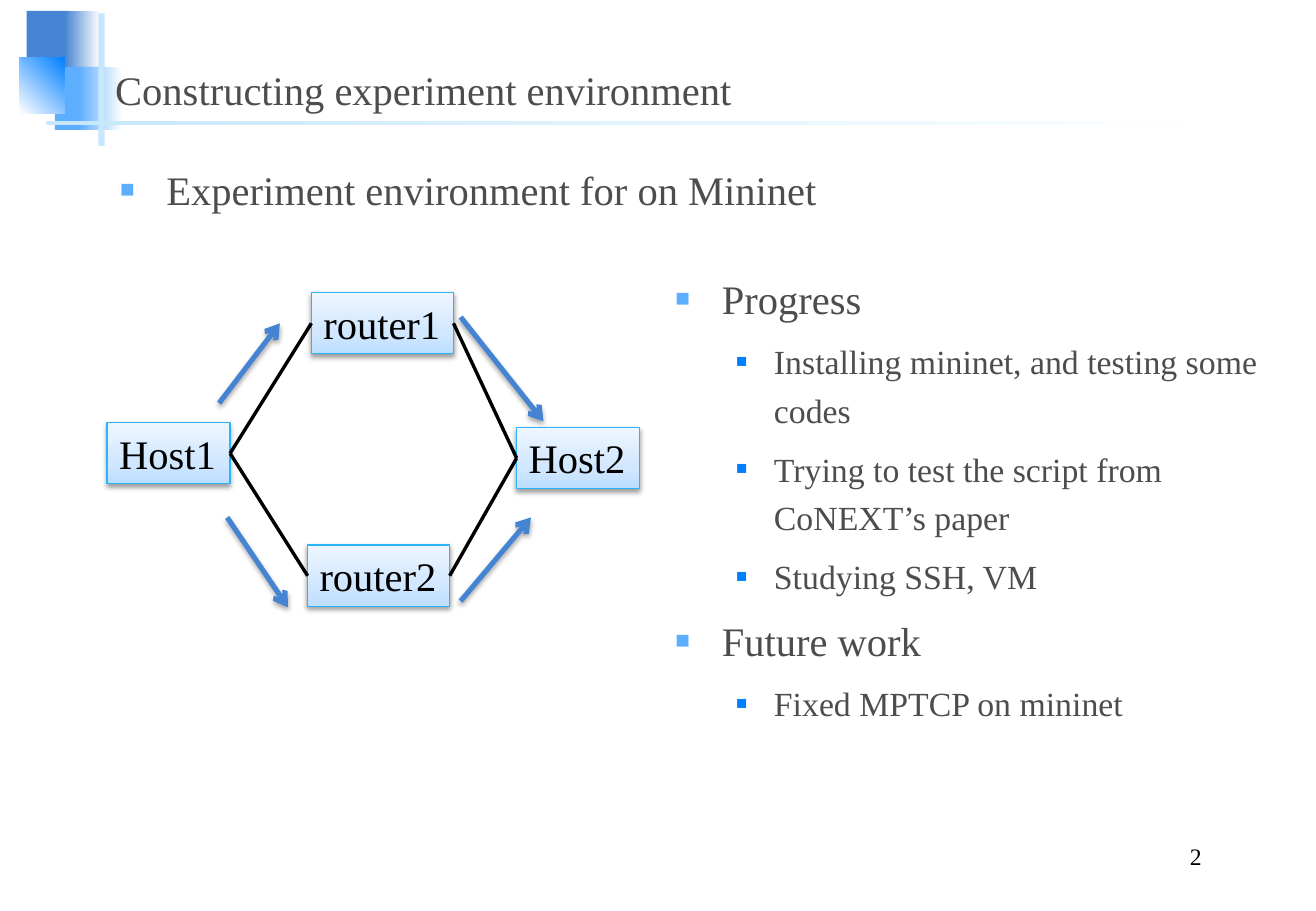
from collections import namedtuple
from dataclasses import dataclass

from lxml import etree
from pptx import Presentation
from pptx import util as u
from pptx.dml.color import RGBColor
from pptx.enum import shapes, text
from pptx.oxml import ns

Box = namedtuple("Box", "left top width height")
Level = namedtuple("Level", "size margin hanging bullet bullet_size")


@dataclass(frozen=True)
class Theme:
    font: str = "Times New Roman"
    ink: str = "4D4D4D"
    black: str = "000000"
    white: str = "FFFFFF"
    royal: str = "4584D3"
    sky: str = "5EAEFF"
    azure: str = "0080FF"
    pale: str = "C6E7FC"
    edge: str = "2BB4FC"
    node_stops: tuple = ((0, "BDDEFF"), (35, "D1E7FF"), (100, "EEF6FF"))
    heading: int = 24
    detail: int = 20
    number: int = 14


THEME = Theme()
LEVELS = (
    Level(THEME.heading, 0.97, 0.97, THEME.sky, 60),
    Level(THEME.detail, 2.06, 0.79, THEME.azure, 55),
)


def add_element(parent, tag, **attributes):
    return etree.SubElement(parent, ns.qn(tag), {k: str(v) for k, v in attributes.items()})


def place(box, left, top, width, height):
    return [u.Cm(v) for v in (box.left + left, box.top + top, width, height)]


def fill_gradient(shape, stops, clockwise):
    shape.fill.gradient()
    shape.fill.gradient_angle = -clockwise % 360
    stop_list = next(shape._element.spPr.iter(ns.qn("a:gsLst")))
    for stop in list(stop_list):
        stop_list.remove(stop)
    for position, color in stops:
        stop = add_element(stop_list, "a:gs", pos=position * 1000)
        add_element(stop, "a:srgbClr", val=color)


def add_shadow(effects, opacity, distance):
    shadow = add_element(effects, "a:outerShdw", blurRad=u.Pt(3.1), dist=u.Pt(distance),
                         dir=90 * 60000, rotWithShape=0)
    color = add_element(shadow, "a:srgbClr", val=THEME.black)
    add_element(color, "a:alpha", val=opacity * 1000)


def add_rectangle(page, position):
    shape = page.shapes.add_shape(shapes.MSO_SHAPE.RECTANGLE, *position)
    shape.shadow.inherit = False
    return shape


def write(para, words, size=THEME.heading, color=THEME.ink, align=text.PP_ALIGN.LEFT):
    para.alignment = align
    span = para.add_run()
    span.text = words
    span.font.name = THEME.font
    span.font.size = u.Pt(size)
    span.font.color.rgb = RGBColor.from_string(color)


def add_text_frame(page, box, anchor=text.MSO_ANCHOR.TOP):
    frame = page.shapes.add_textbox(*place(box, 0, 0, box.width, box.height)).text_frame
    frame.word_wrap = True
    frame.vertical_anchor = anchor
    return frame


def add_line(page, start, end, color, width):
    line = page.shapes.add_connector(shapes.MSO_CONNECTOR.STRAIGHT, *start, *end)
    line.line.color.rgb = RGBColor.from_string(color)
    line.line.width = u.Pt(width)
    return line, add_element(line._element.spPr, "a:effectLst")


def draw_ornament(page, box):
    royal_fade, sky_fade, pale_fade = (
        ((0, color), (100, THEME.white)) for color in (THEME.royal, THEME.sky, THEME.pale))
    corner_fade = ((0, THEME.white), (100, THEME.azure))
    parts = (
        ((0.15, 0, 0.89, 1.32), THEME.royal, 0),
        ((0.94, 0, 0.74, 1.32), royal_fade, 0),
        ((0.74, 1.17, 1.04, 1.32), THEME.sky, 0),
        ((1.24, 1.17, 0.91, 1.32), sky_fade, 0),
        ((0, 0.97, 0.94, 1.17), corner_fade, 315),
        ((1.65, 0.05, 0.13, 2.77), THEME.pale, 0),
        ((0.56, 2.31, box.width - 0.56, 0.08), pale_fade, 0),
    )
    for position, paint, angle in parts:
        shape = add_rectangle(page, place(box, *position))
        shape.line.fill.background()
        if isinstance(paint, str):
            shape.fill.solid()
            shape.fill.fore_color.rgb = RGBColor.from_string(paint)
        else:
            fill_gradient(shape, paint, angle)


def draw_label(page, box, words, anchor=text.MSO_ANCHOR.BOTTOM, **style):
    write(add_text_frame(page, box, anchor).paragraphs[0], words, **style)


def draw_bullets(page, box, items):
    frame = add_text_frame(page, box)
    for index, (depth, words) in enumerate(items):
        level = LEVELS[depth]
        para = frame.add_paragraph() if index else frame.paragraphs[0]
        properties = para._p.get_or_add_pPr()
        properties.set("marL", str(u.Cm(level.margin)))
        properties.set("indent", str(-u.Cm(level.hanging)))
        add_element(add_element(properties, "a:buClr"), "a:srgbClr", val=level.bullet)
        add_element(properties, "a:buSzPct", val=level.bullet_size * 1000)
        add_element(properties, "a:buFont", typeface=THEME.font)
        add_element(properties, "a:buChar", char="■")
        para.level = depth
        para.line_spacing = 1.2
        para.space_before = u.Pt(6 if index else 0)
        write(para, words, size=level.size)


def draw_node(page, box, words):
    shape = add_rectangle(page, place(box, 0, 0, box.width, box.height))
    fill_gradient(shape, THEME.node_stops, 270)
    shape.line.color.rgb = RGBColor.from_string(THEME.edge)
    shape.line.width = u.Pt(0.75)
    add_shadow(shape._element.spPr.find(ns.qn("a:effectLst")), 38, 1.6)
    frame = shape.text_frame
    frame.word_wrap = False
    frame.auto_size = text.MSO_AUTO_SIZE.SHAPE_TO_FIT_TEXT
    frame.vertical_anchor = text.MSO_ANCHOR.TOP
    write(frame.paragraphs[0], words, color=THEME.black)
    return shape


def draw_network(page, box):
    places = (
        ("router1", 4.27, 0, 2.97),
        ("router2", 4.19, 5.28, 2.97),
        ("Host1", 0, 2.72, 2.57),
        ("Host2", 8.56, 2.82, 2.57),
    )
    nodes = {
        name: draw_node(page, Box(box.left + left, box.top + top, width, 1.28), name)
        for name, left, top, width in places
    }
    for router in ("router1", "router2"):
        for first, second in (("Host1", router), (router, "Host2")):
            link, _ = add_line(page, (0, 0), (0, 0), THEME.black, 2)
            link.begin_connect(nodes[first], 3)
            link.end_connect(nodes[second], 1)

    flows = (
        (2.34, 2.31, 3.61, 0.64),
        (2.51, 4.7, 3.78, 6.58),
        (7.39, 0.51, 9.12, 2.69),
        (7.39, 6.45, 8.86, 4.7),
    )
    for flow in flows:
        ends = place(box, *flow[:2], box.left + flow[2], box.top + flow[3])
        arrow, effects = add_line(page, ends[:2], ends[2:], THEME.royal, 3)
        add_element(arrow._element.spPr.find(ns.qn("a:ln")), "a:tailEnd", type="arrow")
        add_shadow(effects, 35, 1.8)


def main():
    deck = Presentation()
    deck.slide_width, deck.slide_height = u.Cm(27.51), u.Cm(19.05)
    page = deck.slides.add_slide(deck.slide_layouts[6])
    draw_ornament(page, Box(0.41, 0.23, 25.32, 2.82))
    draw_label(page, Box(2.16, 0.91, 23.6, 1.6), "Constructing experiment environment")
    draw_bullets(page, Box(2.26, 3.12, 23.01, 2.21),
                 ((0, "Experiment environment for on Mininet"),))
    draw_label(page, Box(19.63, 17.53, 5.74, 0.79), "2", size=THEME.number,
               color=THEME.black, align=text.PP_ALIGN.RIGHT)
    draw_network(page, Box(2.24, 6.12, 11.13, 6.55))
    draw_bullets(page, Box(13.87, 5.41, 12.98, 12.12), (
        (0, "Progress"),
        (1, "Installing mininet, and testing some codes"),
        (1, "Trying to test the script from CoNEXT’s paper"),
        (1, "Studying SSH, VM"),
        (0, "Future work"),
        (1, "Fixed MPTCP on mininet"),
    ))
    deck.save("out.pptx")


if __name__ == "__main__":
    main()
